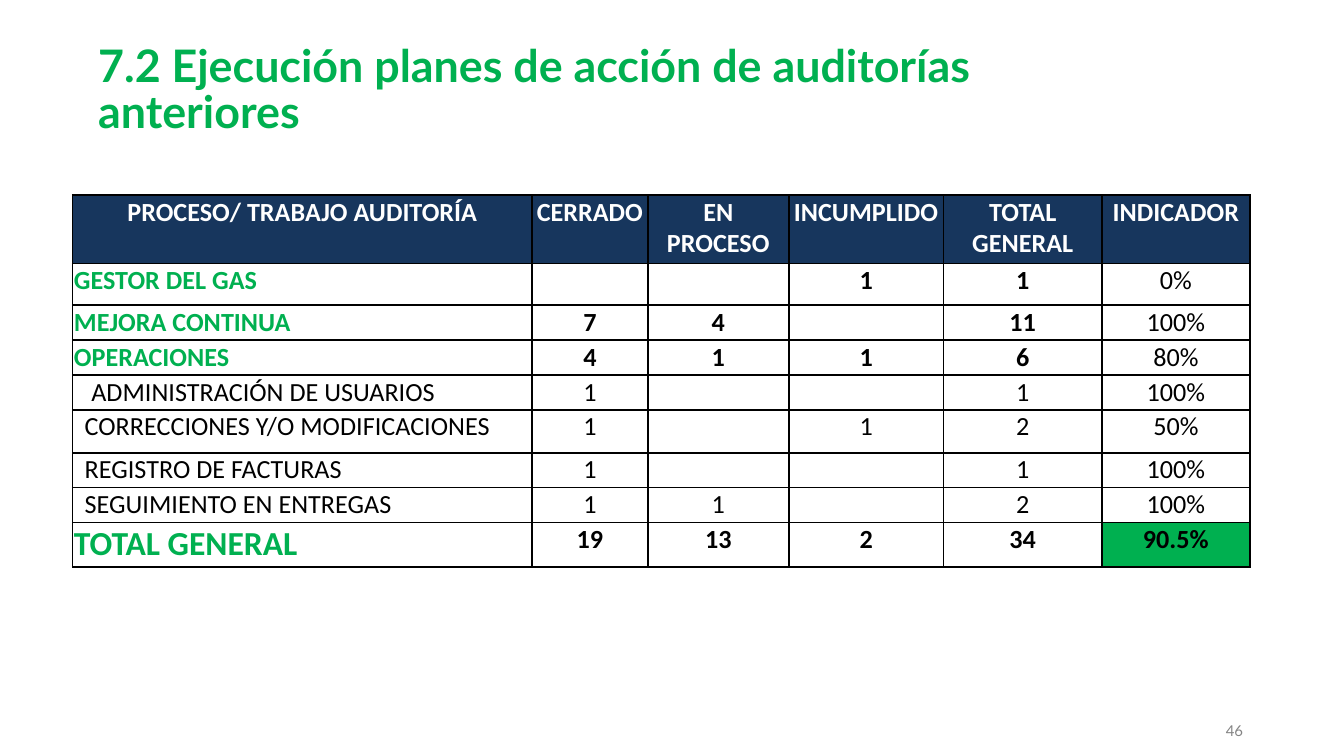
from lxml import etree
from pptx import Presentation, util as u
from pptx.dml.color import RGBColor
from pptx.enum import text
from pptx.oxml import ns

GREEN = RGBColor(0x00, 0xB0, 0x50)
NAVY = RGBColor(0x17, 0x36, 0x5D)
WHITE = RGBColor(0xFF, 0xFF, 0xFF)
BLACK = RGBColor(0x00, 0x00, 0x00)
GRAY = RGBColor(0x84, 0x84, 0x84)

COLUMN_WIDTHS = [3.42, 0.86, 1.05, 1.15, 1.18, 1.1]
ROW_HEIGHTS = [0.51, 0.31, 0.26, 0.26, 0.26, 0.32, 0.26, 0.26, 0.33]
ROWS = [
    ("header", ["PROCESO/ TRABAJO AUDITORÍA", "CERRADO", "EN PROCESO",
                "INCUMPLIDO", "TOTAL GENERAL", "INDICADOR"]),
    ("group", ["GESTOR DEL GAS", "", "", "1", "1", "0%"]),
    ("group", ["MEJORA CONTINUA", "7", "4", "", "11", "100%"]),
    ("group", ["OPERACIONES", "4", "1", "1", "6", "80%"]),
    ("subitem", ["ADMINISTRACIÓN DE USUARIOS", "1", "", "", "1", "100%"]),
    ("detail", ["CORRECCIONES Y/O MODIFICACIONES", "1", "", "1", "2", "50%"]),
    ("detail", ["REGISTRO DE FACTURAS", "1", "", "", "1", "100%"]),
    ("detail", ["SEGUIMIENTO EN ENTREGAS", "1", "1", "", "2", "100%"]),
    ("total", ["TOTAL GENERAL", "19", "13", "2", "34", "90.5%"]),
]
INDENTS = {"detail": 0.09, "subitem": 0.14}


def style_span(span, name, size, color, bold=False):
    """Set the font of one run."""
    span.font.name = name
    span.font.size = u.Pt(size)
    span.font.color.rgb = color
    span.font.bold = bold


def add_text_box(page, box, inset, anchor):
    """Add an empty wrapping text box and return its text frame."""
    frame = page.shapes.add_textbox(*map(u.Inches, box)).text_frame
    frame.word_wrap = True
    frame.vertical_anchor = anchor
    frame.margin_left = frame.margin_right = u.Inches(inset)
    frame.margin_top = frame.margin_bottom = u.Inches(inset)
    return frame


def add_title(page, box):
    """Place the two-line heading."""
    frame = add_text_box(page, box, 0.19, text.MSO_ANCHOR.MIDDLE)
    para = frame.paragraphs[0]
    para.line_spacing = 0.85
    para.add_run().text = "7.2 Ejecución planes de acción de auditorías "
    para.add_line_break()
    para.add_run().text = "anteriores"
    for span in para.runs:
        style_span(span, "Lato", 24, GREEN, True)


def add_page_number(page, box):
    """Place the page number."""
    frame = add_text_box(page, box, 0, text.MSO_ANCHOR.BOTTOM)
    frame.text = "46"
    para = frame.paragraphs[0]
    para.alignment = text.PP_ALIGN.RIGHT
    style_span(para.runs[0], "Lato", 8, GRAY)


def set_borders(cell):
    """Draw a black one-point line on each side of a cell."""
    properties = cell._tc.get_or_add_tcPr()
    for side in ("lnL", "lnR", "lnT", "lnB"):
        line = etree.SubElement(properties, ns.qn(f"a:{side}"), w=str(u.Pt(1)))
        fill = etree.SubElement(line, ns.qn("a:solidFill"))
        etree.SubElement(fill, ns.qn("a:srgbClr"), val=str(BLACK))


def fill_cell(cell, kind, column, label):
    """Write and format one table cell according to its row kind."""
    first = column == 0
    last = column == len(COLUMN_WIDTHS) - 1
    set_borders(cell)
    if kind == "header" or (kind == "total" and last):
        cell.fill.solid()
        cell.fill.fore_color.rgb = NAVY if kind == "header" else GREEN
    else:
        cell.fill.background()
    cell.margin_left = u.Inches(INDENTS.get(kind, 0.01) if first else 0.01)
    cell.margin_top = cell.margin_right = u.Inches(0.01)
    cell.margin_bottom = 0

    cell.text = label
    para = cell.text_frame.paragraphs[0]
    if kind == "header" or not first:
        para.alignment = text.PP_ALIGN.CENTER
    if not label:
        para._p.get_or_add_endParaRPr().set("sz", "1400")
    if kind == "header":
        color = WHITE
    else:
        color = GREEN if first and kind in ("group", "total") else BLACK
    bold = kind in ("header", "total") or (kind == "group" and not last)
    size = 18 if kind == "total" and first else 14
    for span in para.runs:
        style_span(span, "Calibri", size, color, bold)


def add_audit_table(page, box):
    """Place the table of audit action plans."""
    table = page.shapes.add_table(
        len(ROWS), len(COLUMN_WIDTHS), *map(u.Inches, box)).table
    table.first_row = table.horz_banding = False
    for column, width in zip(table.columns, COLUMN_WIDTHS):
        column.width = u.Inches(width)
    for row, height, (kind, labels) in zip(table.rows, ROW_HEIGHTS, ROWS):
        row.height = u.Inches(height)
        for index, label in enumerate(labels):
            fill_cell(row.cells[index], kind, index, label)


def main():
    """Build and save the deck."""
    deck = Presentation()
    deck.slide_width = u.Inches(10)
    deck.slide_height = deck.slide_width * 9 // 16
    page = deck.slides.add_slide(deck.slide_layouts[6])
    add_page_number(page, (8.93, 5.37, 0.32, 0.13))
    add_title(page, (0.54, 0.37, 7.11, 0.63))
    add_audit_table(page, (0.54, 1.45, sum(COLUMN_WIDTHS), sum(ROW_HEIGHTS)))
    deck.save("out.pptx")


if __name__ == "__main__":
    main()
